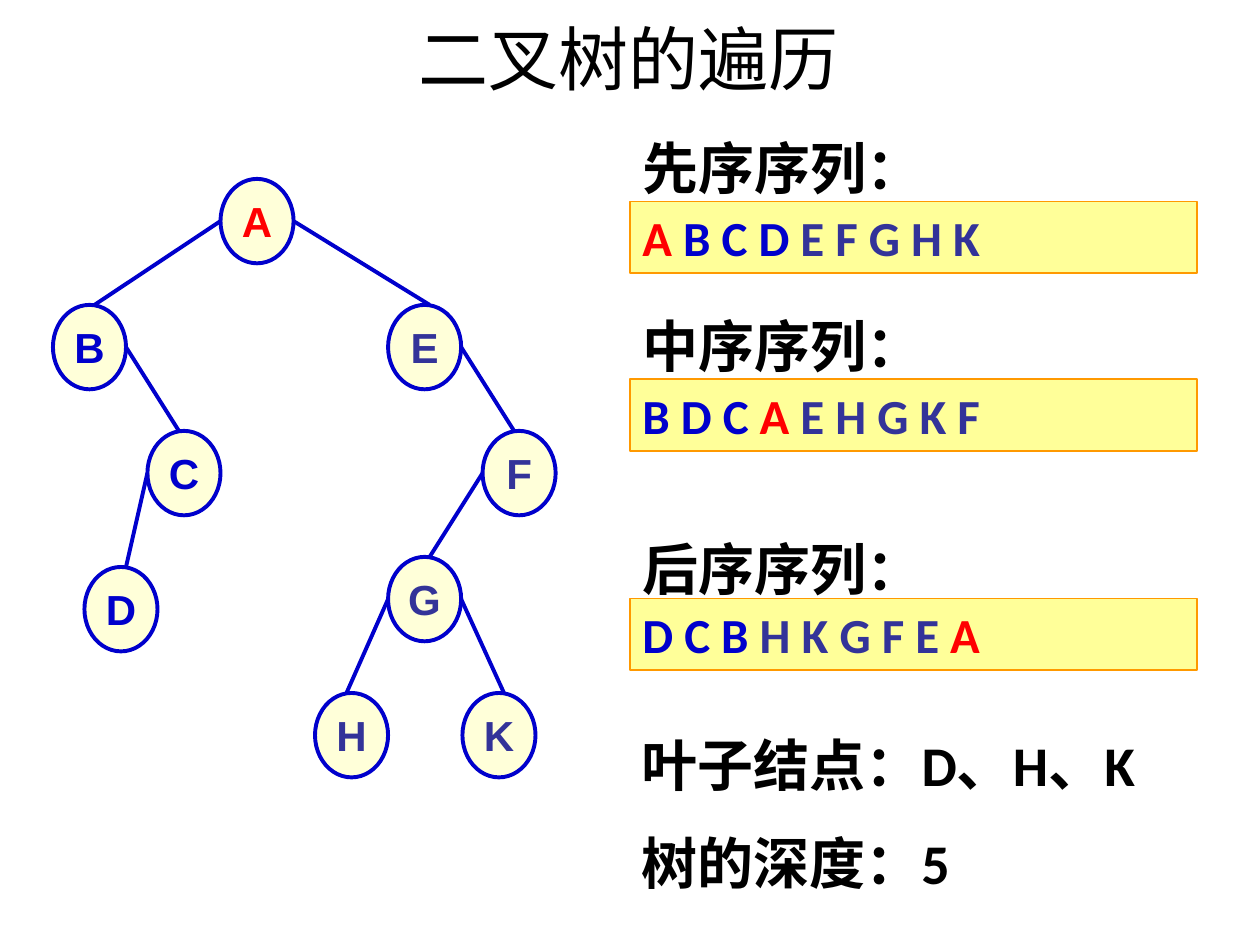
from itertools import groupby

from lxml.etree import SubElement
from pptx import Presentation
from pptx.dml.color import RGBColor
from pptx.enum.shapes import MSO_CONNECTOR, MSO_SHAPE
from pptx.enum.text import MSO_ANCHOR, PP_ALIGN
from pptx.oxml.ns import qn
from pptx.util import Inches, Pt

COLORS = {
    "text": "000000",
    "root": "FF0000",
    "left": "0000CC",
    "right": "333399",
    "edge": "0000CC",
    "node": "FFFFD9",
    "sequence": "FFFF99",
    "border": "FF9900",
}
SUBTREE = {"A": "root", **dict.fromkeys("BCD", "left"), **dict.fromkeys("EFGHK", "right")}
NODE_WIDTH, NODE_HEIGHT = 0.58, 0.67


def write(shape, runs, size, font="Calibri", bold=True, align=PP_ALIGN.LEFT,
          anchor=MSO_ANCHOR.TOP, wrap=True):
    """Fill a shape with one paragraph of (text, colour name) runs."""
    frame = shape.text_frame
    frame.word_wrap = wrap
    frame.vertical_anchor = anchor
    para = frame.paragraphs[0]
    para.alignment = align
    for text, color in runs:
        span = para.add_run()
        span.text = text
        span.font.name = font
        span.font.size = Pt(size)
        span.font.bold = bold
        span.font.color.rgb = RGBColor.from_string(COLORS[color])


def add_filled(shapes, kind, place, fill, line, width):
    shape = shapes.add_shape(kind, *map(Inches, place))
    shape.shadow.inherit = False
    shape.fill.solid()
    shape.fill.fore_color.rgb = RGBColor.from_string(COLORS[fill])
    shape.line.color.rgb = RGBColor.from_string(COLORS[line])
    shape.line.width = Pt(width)
    return shape


deck = Presentation()
deck.slide_width, deck.slide_height = Inches(10), Inches(7.5)
page = deck.slides.add_slide(deck.slide_layouts[5])

title = page.shapes.title
title.left, title.top = Inches(0.49), Inches(0)
title.width, title.height = Inches(9), Inches(0.92)
write(title, [("二叉树的遍历", "text")], 40, bold=False,
      align=PP_ALIGN.CENTER, anchor=MSO_ANCHOR.MIDDLE)

# Binary tree: left and top of each node
nodes = {
    "A": (1.75, 1.42), "B": (0.42, 2.42), "C": (1.17, 3.42),
    "D": (0.67, 4.5), "E": (3.08, 2.42), "F": (3.83, 3.42),
    "G": (3.08, 4.42), "H": (2.5, 5.5), "K": (3.67, 5.5),
}
tree = page.shapes.add_group_shape()
for letter, (left, top) in nodes.items():
    node = add_filled(tree.shapes, MSO_SHAPE.OVAL, (left, top, NODE_WIDTH, NODE_HEIGHT),
                      "node", "edge", 2.25)
    write(node, [(letter, SUBTREE[letter])], 24, font="Arial",
          align=PP_ALIGN.CENTER, anchor=MSO_ANCHOR.MIDDLE, wrap=False)

# Each edge leaves the parent's side and lands just off the middle of the child's top
edges = [("AB", 0.04), ("BC", -0.04), ("CD", 0.04), ("AE", 0.04),
         ("EF", -0.04), ("FG", 0.04), ("GH", -0.04), ("GK", 0.04)]
for (parent, child), offset in edges:
    start_left, start_top = nodes[parent]
    end_left, end_top = nodes[child]
    start_x = start_left + (NODE_WIDTH if end_left > start_left else 0)
    end_x = end_left + NODE_WIDTH / 2 + offset
    edge = tree.shapes.add_connector(
        MSO_CONNECTOR.STRAIGHT, Inches(start_x), Inches(start_top + NODE_HEIGHT / 2),
        Inches(end_x), Inches(end_top))
    edge.line.color.rgb = RGBColor.from_string(COLORS["edge"])
    edge.line.width = Pt(2.25)
    SubElement(edge._element.spPr, qn("a:effectLst"))

# Headings and answers
lines = [
    ("先序序列：", 5, 1.01, 2.83),
    ("中序序列：", 5, 2.42, 2.83),
    ("后序序列：", 5, 4.19, 2.83),
    ("叶子结点：D、H、K", 4.99, 5.75, 4.71),
    ("树的深度：5", 4.99, 6.53, 2.83),
]
for text, left, top, width in lines:
    box = page.shapes.add_textbox(Inches(left), Inches(top), Inches(width), Inches(0.64))
    write(box, [(text, "text")], 32)

# Traversal sequences, one run for each stretch of letters from the same subtree
for order, top in [("ABCDEFGHK", 1.6), ("BDCAEHGKF", 3.01), ("DCBHKGFEA", 4.75)]:
    runs = [[" ".join(letters), color] for color, letters in groupby(order, SUBTREE.get)]
    for run in runs[:-1]:
        run[0] += " "
    bar = add_filled(page.shapes, MSO_SHAPE.RECTANGLE, (5, top, 4.5, 0.57),
                     "sequence", "border", 1)
    write(bar, runs, 28)

deck.save("out.pptx")
